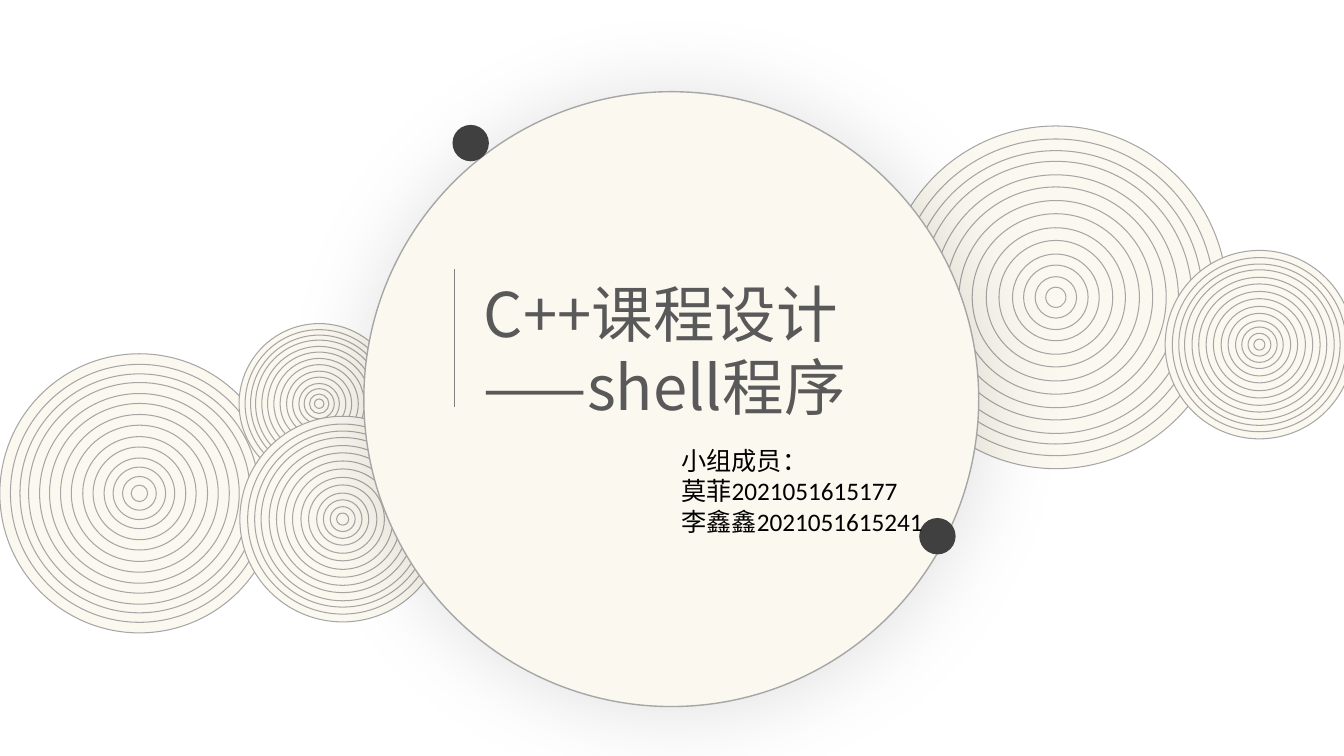
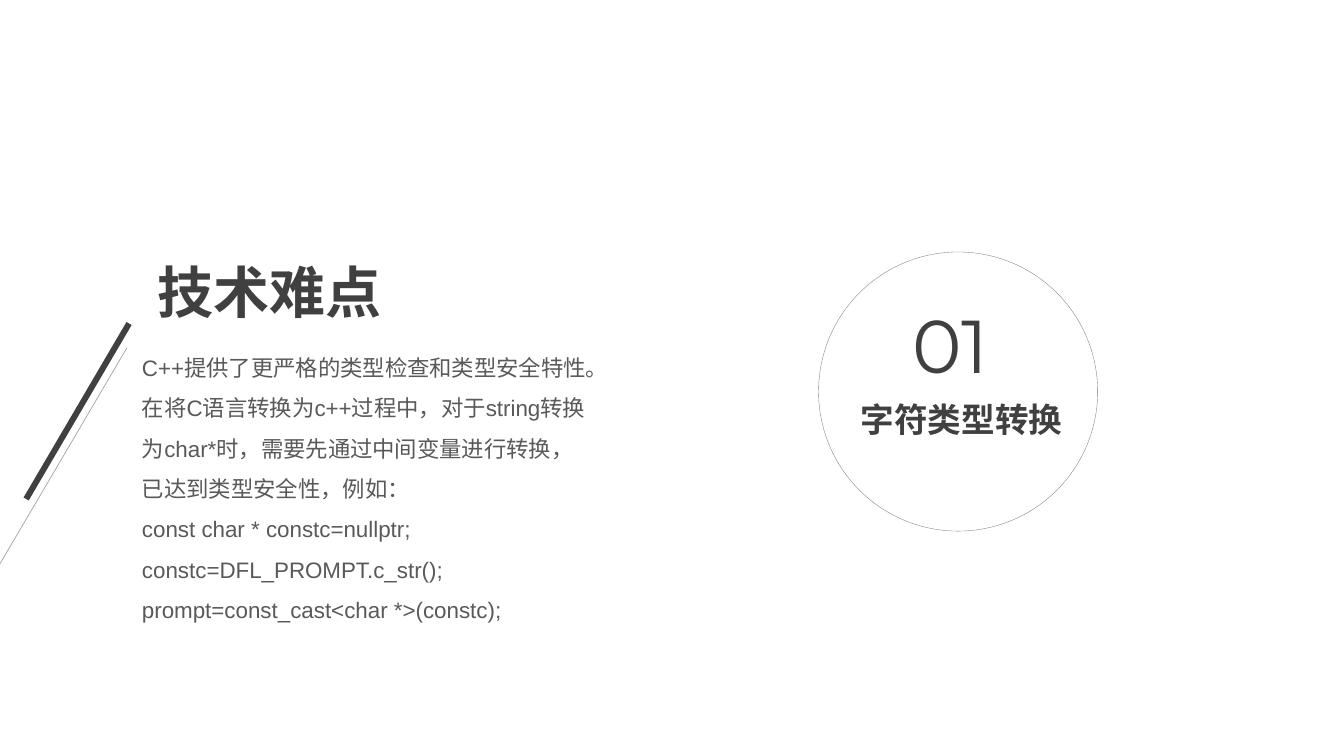
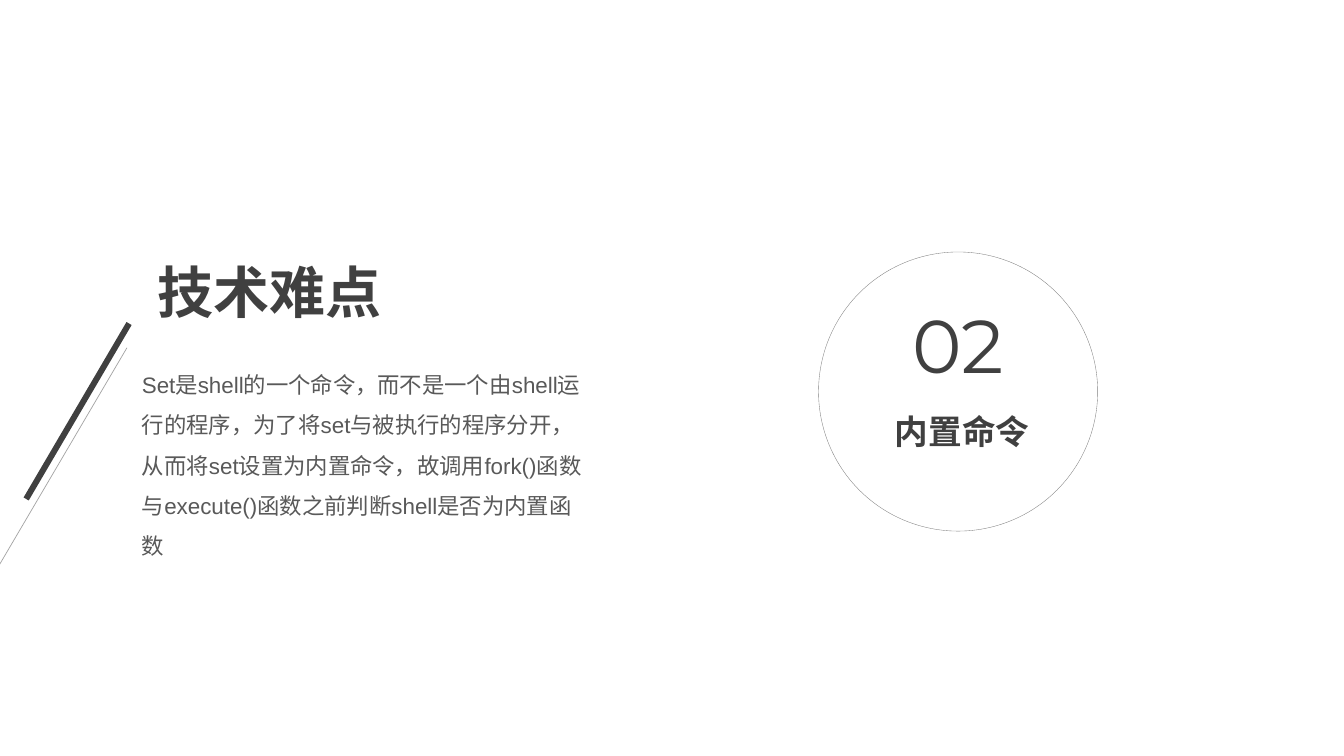
from dataclasses import dataclass

from lxml import etree
from pptx import Presentation
from pptx.dml.color import RGBColor
from pptx.enum import shapes as es, text as et
from pptx.oxml import parse_xml
from pptx.oxml.ns import nsdecls, qn
from pptx.util import Pt

HUES = {
    "cream": "FBF8EF",
    "ring": "A6A6A6",
    "rule": "808080",
    "dark": "404040",
    "body": "595959",
    "black": "000000",
}
# Ring widths as a percentage of the outermost ring
RINGS = (100, 92.4, 85.6, 79.4, 71.5, 64.4, 56.5,
         48.8, 40.6, 33.2, 25.3, 18.8, 12.1, 5.9)


@dataclass(frozen=True)
class Box:
    x: float
    y: float
    w: float
    h: float


@dataclass(frozen=True)
class Font:
    name: str
    size: float
    hue: str
    bold: bool = False
    pitch: float | None = None


@dataclass(frozen=True)
class Disc:
    """A circle given by its centre and width."""
    x: float
    y: float
    size: float


@dataclass(frozen=True)
class Topic:
    num: str
    label: str
    spot: Box
    lines: tuple[str, ...]
    body: Box


COVER = Font("Noto Sans CJK SC", 44, "body", pitch=52)
TEAM = Font("Calibri", 18, "black")
HEAD = Font("Arial", 40, "dark", bold=True)
BODY = Font("Arial", 16, "body", pitch=28.8)
NUM = Font("Montserrat", 53.4, "dark")
LABEL = Font("Arial", 24, "dark", bold=True)

BACK = (
    Disc(754.2, 212.4, 244.8),
    Disc(99.6, 352.4, 199.4),
    Disc(228, 288.4, 114.5),
    Disc(244.8, 370.8, 146.9),
)
FRONT = Disc(899.6, 246.2, 134.6)
MAIN = Disc(479.5, 285.1, 439.2)
DOTS = (Disc(336.2, 102.2, 26), Disc(669.6, 383, 26))

TOPICS = (
    Topic("01", "字符类型转换", Box(607.7, 281.5, 159.8, 36), (
        "C++提供了更严格的类型检查和类型安全特性。",
        "在将C语言转换为c++过程中，对于string转换为char*时，"
        "需要先通过中间变量进行转换，已达到类型安全性，例如：",
        "const char * constc=nullptr;",
        "constc=DFL_PROMPT.c_str();",
        "prompt=const_cast<char *>(constc);",
    ), Box(94.3, 239.8, 332.6, 207.4)),
    Topic("02", "内置命令", Box(632.2, 290.2, 112.3, 36), (
        "Set是shell的一个命令，而不是一个由shell运行的程序，"
        "为了将set与被执行的程序分开，从而将set设置为内置命令，"
        "故调用fork()函数与execute()函数之前判断shell是否为内置函数",
    ), Box(94.3, 252, 332.6, 149)),
)


def tint(hue: str) -> RGBColor:
    return RGBColor.from_string(HUES[hue])


def place(shape, box: Box) -> None:
    shape.left, shape.top = Pt(box.x), Pt(box.y)
    shape.width, shape.height = Pt(box.w), Pt(box.h)


def write(shape, lines: tuple[str, ...], font: Font) -> None:
    frame = shape.text_frame
    frame.word_wrap = True
    frame.auto_size = et.MSO_AUTO_SIZE.NONE
    frame.vertical_anchor = et.MSO_ANCHOR.TOP
    for i, line in enumerate(lines):
        para = frame.add_paragraph() if i else frame.paragraphs[0]
        para.alignment = et.PP_ALIGN.LEFT
        if font.pitch:
            para.line_spacing = Pt(font.pitch)
        run = para.add_run()
        run.text = line
        run.font.name = font.name
        run.font.size = Pt(font.size)
        run.font.bold = font.bold
        run.font.color.rgb = tint(font.hue)


def label(slide, box: Box, lines: tuple[str, ...], font: Font) -> None:
    shape = slide.shapes.add_textbox(0, 0, 0, 0)
    place(shape, box)
    write(shape, lines, font)


def title(slide, box: Box, lines: tuple[str, ...], font: Font) -> None:
    """Fill the title placeholder and bring it in front of the art."""
    shape = slide.shapes.title
    place(shape, box)
    write(shape, lines, font)
    tree = shape._element.getparent()
    tree.append(shape._element)


def circle(shapes, disc: Disc, fill: str | None,
           line: str | None = None, width: float = 0):
    half = disc.size / 2
    shape = shapes.add_shape(
        es.MSO_SHAPE.OVAL, Pt(disc.x - half), Pt(disc.y - half),
        Pt(disc.size), Pt(disc.size))
    shape.shadow.inherit = False
    if fill:
        shape.fill.solid()
        shape.fill.fore_color.rgb = tint(fill)
    else:
        shape.fill.background()
    if line:
        shape.line.color.rgb = tint(line)
        shape.line.width = Pt(width)
    else:
        shape.line.fill.background()
    return shape


def ripple(slide, disc: Disc) -> None:
    """Draw a group of rings around one centre."""
    group = slide.shapes.add_group_shape()
    for part in RINGS:
        ring = Disc(disc.x, disc.y, disc.size * part / 100)
        circle(group.shapes, ring, "cream", "ring")


def glow(shape) -> None:
    """Give the shape a wide, faint shadow."""
    old = shape._element.spPr.find(qn("a:effectLst"))
    old.append(parse_xml(
        f'<a:outerShdw {nsdecls("a")} blurRad="{Pt(64)}" dist="{Pt(3)}" '
        'dir="2700000" algn="ctr" rotWithShape="0">'
        f'<a:srgbClr val="{HUES["black"]}"><a:alpha val="12000"/></a:srgbClr>'
        '</a:outerShdw>'))


def rule(slide, start: tuple[float, float], end: tuple[float, float],
         hue: str, width: float, alpha: int = 100) -> None:
    line = slide.shapes.add_connector(
        es.MSO_CONNECTOR.STRAIGHT, *(Pt(v) for v in start + end))
    line.line.color.rgb = tint(hue)
    line.line.width = Pt(width)
    props = line._element.spPr
    if alpha < 100:
        clr = next(props.iter(qn("a:srgbClr")))
        etree.SubElement(clr, qn("a:alpha")).set("val", str(alpha * 1000))
    etree.SubElement(props, qn("a:effectLst"))


def cover(slide) -> None:
    for disc in BACK:
        ripple(slide, disc)
    glow(circle(slide.shapes, MAIN, "cream", "ring", 1))
    for dot in DOTS:
        circle(slide.shapes, dot, "dark")
    ripple(slide, FRONT)
    title(slide, Box(338.4, 194.4, 310.3, 113.8),
          ("C++课程设计", "——shell程序"), COVER)
    rule(slide, (324.7, 192.2), (324.7, 290.9), "rule", 0.5)
    label(slide, Box(479.5, 314.6, 188.6, 94.3),
          ("小组成员：", "莫菲2021051615177", "李鑫鑫2021051615241"), TEAM)


def page(slide, topic: Topic) -> None:
    circle(slide.shapes, Disc(684.4, 279.7, 199.4), None, "rule", 0.25)
    label(slide, Box(644.4, 210.2, 86.4, 72), (topic.num,), NUM)
    label(slide, topic.spot, (topic.label,), LABEL)
    label(slide, topic.body, topic.lines, BODY)
    title(slide, Box(105.1, 180, 176.4, 55.4), ("技术难点",), HEAD)
    rule(slide, (92.2, 231.1), (18.7, 356.4), "dark", 4.25)
    rule(slide, (90.7, 248.4), (-41.8, 473.8), "dark", 0.5, 48)


def main() -> None:
    deck = Presentation()
    deck.slide_width, deck.slide_height = Pt(960), Pt(540)
    layout = deck.slide_layouts.get_by_name("Title Only")
    cover(deck.slides.add_slide(layout))
    for topic in TOPICS:
        page(deck.slides.add_slide(layout), topic)
    deck.save("out.pptx")


if __name__ == "__main__":
    main()
